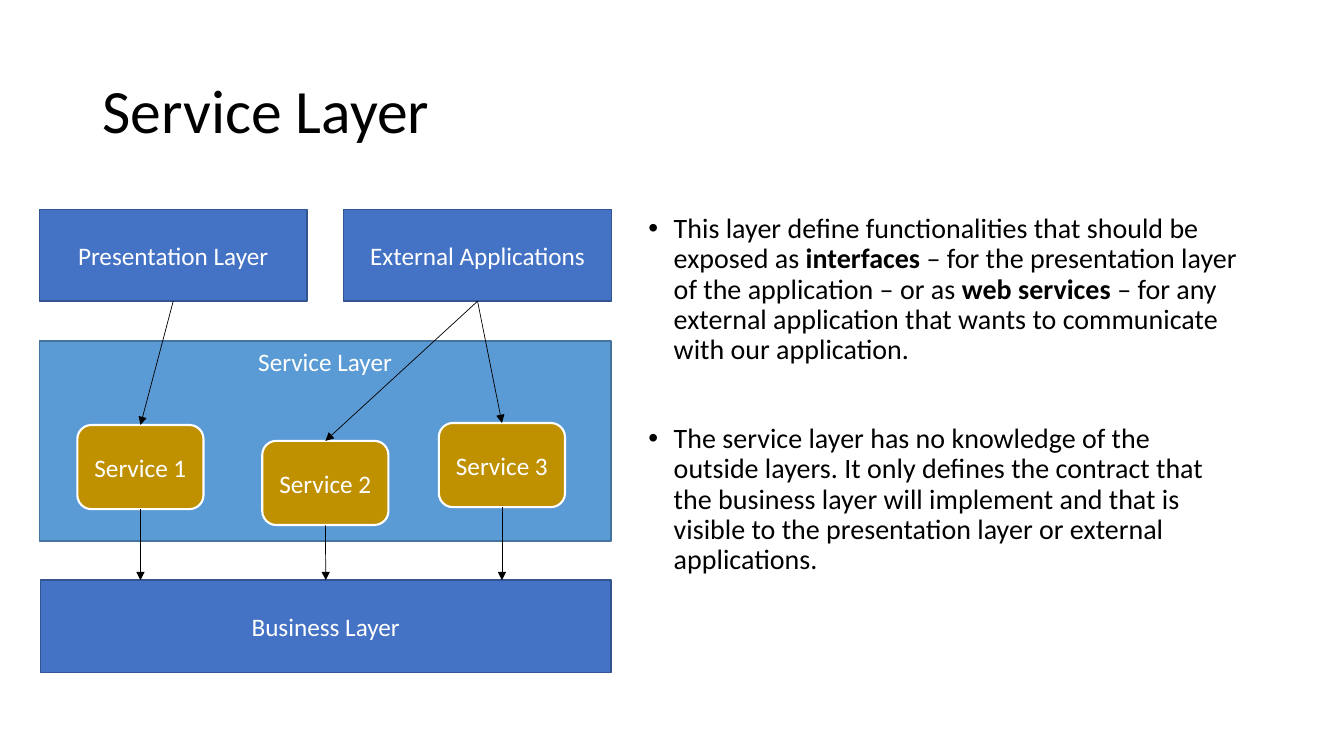
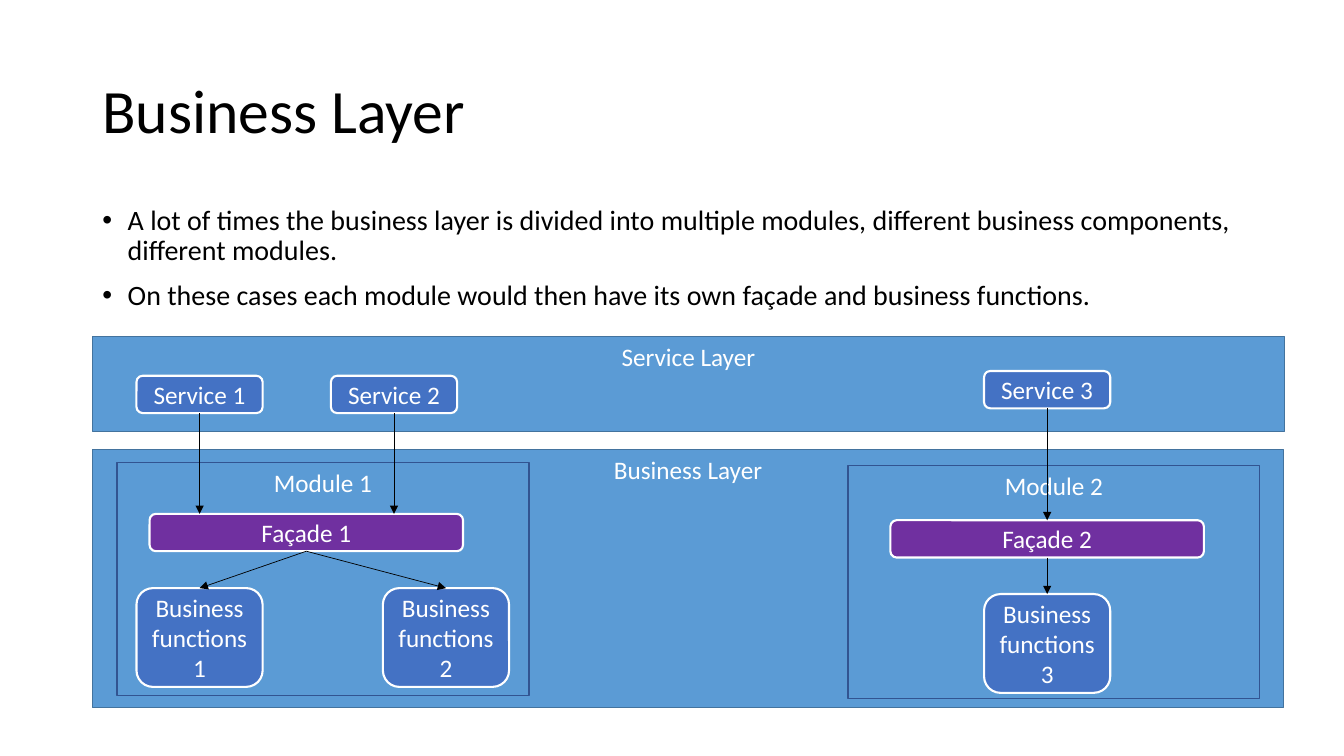
from dataclasses import dataclass

from lxml import etree
from pptx import Presentation
from pptx import util as u
from pptx.dml.color import RGBColor
from pptx.enum import shapes, text
from pptx.oxml import ns


@dataclass(frozen=True)
class Theme:
    font: str = "Calibri"
    ink: str = "000000"
    white: str = "FFFFFF"
    blue: str = "4472C4"
    navy: str = "325491"
    sky: str = "5B9BD5"
    sky_edge: str = "43739E"
    gold: str = "BF9000"
    purple: str = "7030A0"
    title_size: int = 44
    body_size: int = 20
    label_size: int = 18
    spacing: float = 0.9
    bullet_gap: int = 10
    bullet_indent: float = 0.64


THEME = Theme()
TITLE_BOX = (2.33, 1.01, 29.21, 3.68)
RECT = shapes.MSO_SHAPE.RECTANGLE
ROUND = shapes.MSO_SHAPE.ROUNDED_RECTANGLE
MIDDLE, TOP = text.MSO_ANCHOR.MIDDLE, text.MSO_ANCHOR.TOP
LEFT, CENTER = text.PP_ALIGN.LEFT, text.PP_ALIGN.CENTER

STYLES = {
    "layer": (RECT, THEME.sky, THEME.sky_edge, 1, TOP),
    "block": (RECT, THEME.blue, THEME.navy, 1, MIDDLE),
    "module": (RECT, THEME.sky, THEME.navy, 1, TOP),
    "service": (ROUND, THEME.gold, THEME.white, 1.5, MIDDLE),
    "part": (ROUND, THEME.blue, THEME.white, 1.5, MIDDLE),
    "facade": (ROUND, THEME.purple, THEME.white, 1.5, MIDDLE),
}

SLIDES = [
    {
        "title": "Service Layer",
        "body_box": (16.09, 5.28, 15.45, 12.09),
        "body_gap": 42,
        "body": [
            [
                ("This layer define functionalities that should be exposed as ", False),
                ("interfaces", True),
                (" – for the presentation layer of the application – or as ", False),
                ("web services ", True),
                ("– for any external application that wants to communicate with our application.", False),
            ],
            [("The service layer has no knowledge of the outside layers. It only defines the contract "
              "that the business layer will implement and that is visible to the presentation layer "
              "or external applications.", False)],
        ],
        "boxes": [
            ("Service Layer", "layer", 0.99, 8.59, 14.41, 5.04),
            ("Service 1", "service", 1.95, 10.71, 3.18, 2.12),
            ("Service 2", "service", 6.61, 11.11, 3.18, 2.12),
            ("Service 3", "service", 11.06, 10.66, 3.18, 2.12),
            ("Presentation Layer", "block", 0.99, 5.28, 6.75, 2.31),
            ("External Applications", "block", 8.66, 5.28, 6.75, 2.31),
            ("Business Layer", "block", 1.02, 14.62, 14.38, 2.33),
        ],
        "arrows": [
            ("Presentation Layer", "Service 1", "join"),
            ("External Applications", "Service 2", "join"),
            ("External Applications", "Service 3", "join"),
            ("Service 1", "Business Layer", "drop"),
            ("Service 2", "Business Layer", "join"),
            ("Service 3", "Business Layer", "drop"),
        ],
    },
    {
        "title": "Business Layer",
        "body_box": (2.33, 5.08, 30.04, 3.15),
        "body_gap": THEME.bullet_gap,
        "body": [
            [("A lot of times the business layer is divided into multiple modules, "
              "different business components, different modules.", False)],
            [("On these cases each module would then have its own façade and business functions.", False)],
        ],
        "boxes": [
            ("Service Layer", "layer", 2.33, 8.48, 30.04, 2.39),
            ("Service 1", "part", 3.44, 9.47, 3.18, 0.94),
            ("Service 2", "part", 8.34, 9.47, 3.18, 0.94),
            ("Service 3", "part", 24.8, 9.35, 3.18, 0.94),
            ("Business Layer", "layer", 2.33, 11.33, 30.02, 6.5),
            ("Module 1", "module", 2.95, 11.66, 10.38, 5.87),
            ("Module 2", "module", 21.37, 11.73, 10.38, 5.87),
            ("Façade 1", "facade", 3.77, 12.95, 7.9, 0.94),
            ("Façade 2", "facade", 22.44, 13.11, 7.9, 0.94),
            ("Business functions 1", "part", 3.44, 14.82, 3.18, 2.49),
            ("Business functions 2", "part", 9.65, 14.82, 3.18, 2.49),
            ("Business functions 3", "part", 24.8, 14.97, 3.18, 2.49),
        ],
        "arrows": [
            ("Façade 1", "Business functions 1", "join"),
            ("Façade 1", "Business functions 2", "join"),
            ("Service 1", "Façade 1", "drop"),
            ("Service 2", "Façade 1", "drop"),
            ("Service 3", "Façade 2", "join"),
            ("Façade 2", "Business functions 3", "join"),
        ],
    },
]


def color(value):
    return RGBColor.from_string(value)


def add_bullet(paragraph):
    properties = paragraph._p.get_or_add_pPr()
    indent = u.Cm(THEME.bullet_indent)
    properties.set("marL", str(indent))
    properties.set("indent", str(-indent))
    font = etree.SubElement(properties, ns.qn("a:buFont"))
    font.set("typeface", "Arial")
    etree.SubElement(properties, ns.qn("a:buChar")).set("char", "•")


def write(shape, paragraphs, *, size, ink, align=LEFT, anchor=TOP, spacing=None, gap=0, bullets=False):
    frame = shape.text_frame
    frame.word_wrap = True
    frame.auto_size = text.MSO_AUTO_SIZE.NONE
    frame.vertical_anchor = anchor
    for index, runs in enumerate(paragraphs):
        paragraph = frame.add_paragraph() if index else frame.paragraphs[0]
        paragraph.alignment = align
        paragraph.space_before = u.Pt(gap if index else 0)
        if spacing:
            paragraph.line_spacing = spacing
        if bullets:
            add_bullet(paragraph)
        for words, bold in runs:
            run = paragraph.add_run()
            run.text = words
            run.font.name = THEME.font
            run.font.size = u.Pt(size)
            run.font.bold = bold
            run.font.color.rgb = color(ink)


def add_title(slide, title):
    shape = slide.shapes.title
    shape.left, shape.top, shape.width, shape.height = map(u.Cm, TITLE_BOX)
    write(shape, [[(title, False)]], size=THEME.title_size, ink=THEME.ink,
          anchor=MIDDLE, spacing=THEME.spacing)


def add_body(slide, box, paragraphs, gap):
    shape = slide.shapes.add_textbox(*map(u.Cm, box))
    write(shape, paragraphs, size=THEME.body_size, ink=THEME.ink,
          spacing=THEME.spacing, gap=gap, bullets=True)


def add_box(slide, label, style, *box):
    outline, fill, edge, width, anchor = STYLES[style]
    shape = slide.shapes.add_shape(outline, *map(u.Cm, box))
    shape.shadow.inherit = False
    shape.fill.solid()
    shape.fill.fore_color.rgb = color(fill)
    shape.line.color.rgb = color(edge)
    shape.line.width = u.Pt(width)
    write(shape, [[(label, False)]], size=THEME.label_size, ink=THEME.white,
          align=CENTER, anchor=anchor)
    return shape


def add_arrow(slide, source, target, ending):
    x = source.left + source.width // 2
    connector = slide.shapes.add_connector(
        shapes.MSO_CONNECTOR.STRAIGHT, x, source.top + source.height, x, target.top)
    connector.begin_connect(source, 2)
    if ending == "join":
        connector.end_connect(target, 0)
    connector.line.color.rgb = color(THEME.ink)
    connector.line.width = u.Pt(0.5)
    properties = connector._element.spPr
    head = etree.SubElement(properties.find(ns.qn("a:ln")), ns.qn("a:tailEnd"))
    head.set("type", "triangle")
    etree.SubElement(properties, ns.qn("a:effectLst"))


def build_slide(presentation, content):
    slide = presentation.slides.add_slide(presentation.slide_layouts.get_by_name("Title Only"))
    add_title(slide, content["title"])
    add_body(slide, content["body_box"], content["body"], content["body_gap"])
    boxes = {box[0]: add_box(slide, *box) for box in content["boxes"]}
    for source, target, ending in content["arrows"]:
        add_arrow(slide, boxes[source], boxes[target], ending)


def main():
    presentation = Presentation()
    presentation.slide_width, presentation.slide_height = u.Cm(33.87), u.Cm(19.05)
    for content in SLIDES:
        build_slide(presentation, content)
    presentation.save("out.pptx")


if __name__ == "__main__":
    main()
